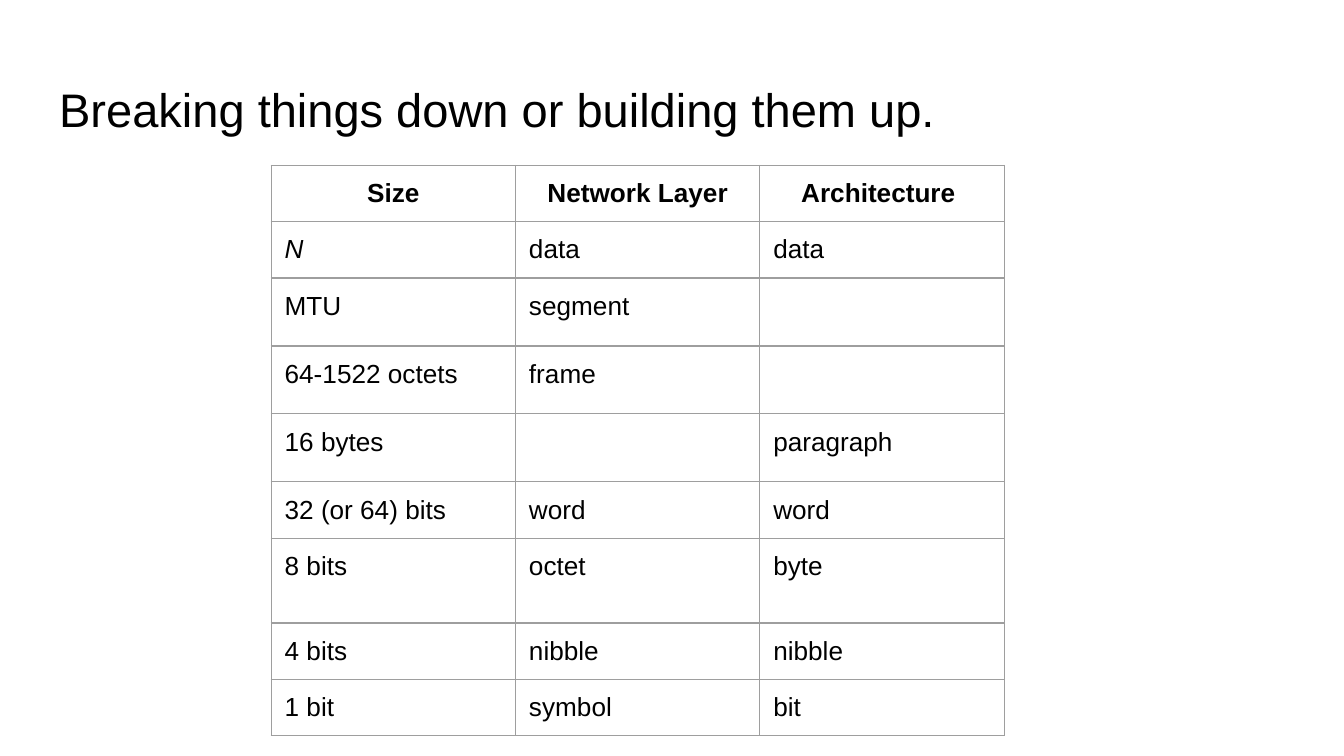
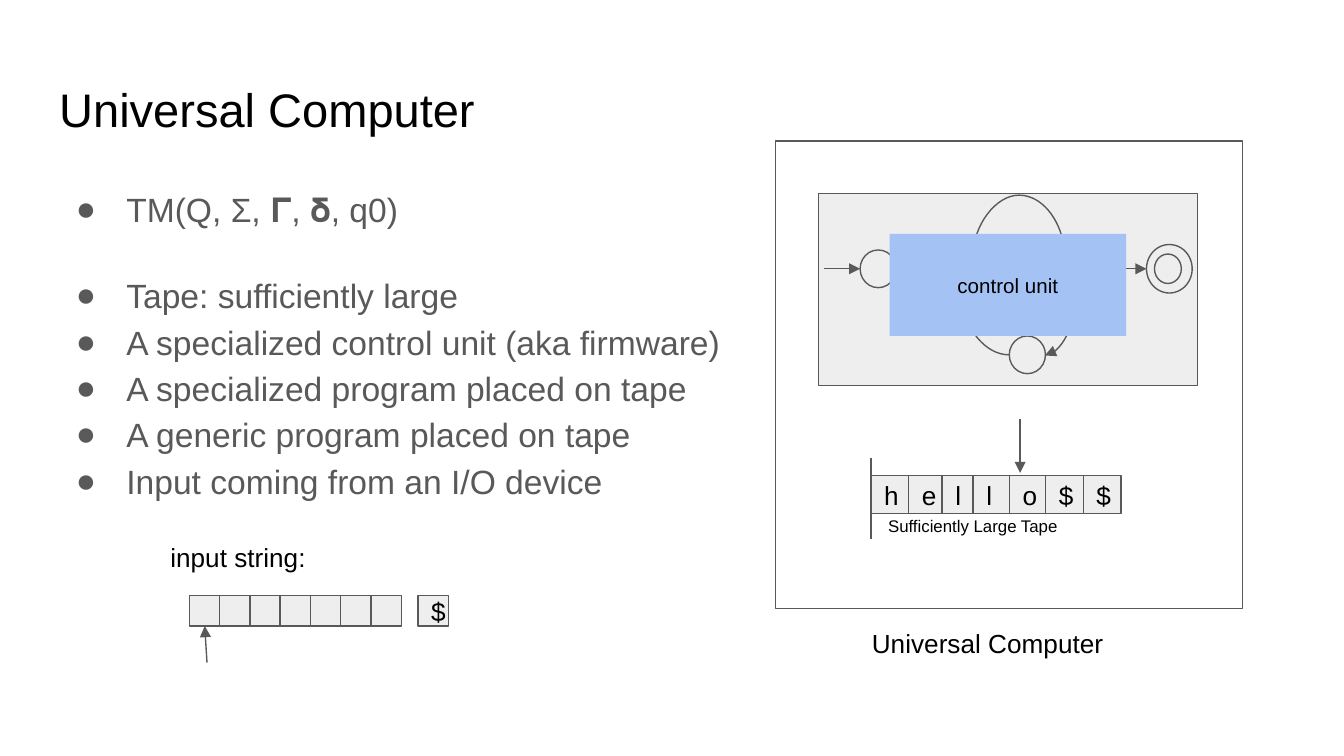
from dataclasses import dataclass

from lxml import etree
from pptx import Presentation
from pptx.dml.color import RGBColor
from pptx.enum.shapes import MSO_CONNECTOR, MSO_SHAPE
from pptx.enum.text import MSO_ANCHOR, MSO_AUTO_SIZE, PP_ALIGN
from pptx.oxml.ns import qn
from pptx.util import Pt

RECT, OVAL = MSO_SHAPE.RECTANGLE, MSO_SHAPE.OVAL
STRAIGHT, CURVE = MSO_CONNECTOR.STRAIGHT, MSO_CONNECTOR.CURVE
TOP, MIDDLE, BOTTOM = MSO_ANCHOR.TOP, MSO_ANCHOR.MIDDLE, MSO_ANCHOR.BOTTOM
LEFT, CENTER = PP_ALIGN.LEFT, PP_ALIGN.CENTER
TITLE_ONLY, TITLE_BODY = 5, 1
HEAD, TAIL = "a:headEnd", "a:tailEnd"


@dataclass(frozen=True)
class Theme:
    font: str = "Arial"
    ink: str = "000000"
    gray: str = "595959"
    pale: str = "EEEEEE"
    white: str = "FFFFFF"
    blue: str = "A4C2F4"
    grid: str = "9E9E9E"
    title: float = 25.2
    body: float = 18
    text: float = 14
    label: float = 11
    note: float = 9
    thin: float = 0.75
    inset: float = 7.2


THEME = Theme()


def tint(code):
    return RGBColor.from_string(code)


def node(parent, tag, **attrs):
    return etree.SubElement(parent, qn(tag), **attrs)


def write(frame, text, size=THEME.text, color=THEME.ink, align=LEFT,
          anchor=TOP, bold=False, italic=False):
    """Fill a text frame, one paragraph a line, and format it."""
    lines = [text] if isinstance(text, str) else text
    frame.word_wrap = True
    frame.vertical_anchor = anchor
    frame.margin_left = frame.margin_right = Pt(THEME.inset)
    frame.margin_top = frame.margin_bottom = Pt(THEME.inset)
    for i, line in enumerate(lines):
        para = frame.add_paragraph() if i else frame.paragraphs[0]
        para.alignment = align
        para.space_before = para.space_after = Pt(0)
        run = para.add_run()
        run.text = line
        font = run.font
        font.name, font.size = THEME.font, Pt(size)
        font.bold, font.italic = bold, italic
        font.color.rgb = tint(color)
    return frame.paragraphs


class Deck:
    def __init__(self, theme):
        self.theme = theme
        self.show = Presentation()
        self.show.slide_width, self.show.slide_height = Pt(720), Pt(405)
        self.slide = None

    def place(self, item, x, y, w, h):
        item.left, item.top, item.width, item.height = map(Pt, (x, y, w, h))
        item.text_frame.auto_size = MSO_AUTO_SIZE.NONE

    def start(self, title, layout):
        self.slide = self.show.slides.add_slide(self.show.slide_layouts[layout])
        head = self.slide.shapes.title
        self.place(head, 24.5, 35.3, 671, 45.4)
        write(head.text_frame, title, size=self.theme.title, anchor=BOTTOM)

    def bullets(self, lines, gap):
        """Fill the body; gap follows the first item."""
        body = self.slide.placeholders[1]
        self.place(body, 24.5, 90.7, 671, 269.3)
        paras = write(body.text_frame, lines, size=self.theme.body,
                      color=self.theme.gray)
        for para in paras:
            para.line_spacing = 1.15
            props = para._p.get_or_add_pPr()
            props.set("marL", str(Pt(36)))
            props.set("indent", str(-Pt(27)))
            node(node(props, "a:buClr"), "a:srgbClr", val=self.theme.gray)
            node(props, "a:buFont", typeface=self.theme.font)
            node(props, "a:buChar", char="●")
        paras[0].space_after = Pt(gap)

    def shape(self, x, y, w, h, kind=RECT, fill=THEME.pale, edge=True,
              turn=0, text=None, **style):
        item = self.slide.shapes.add_shape(kind, *map(Pt, (x, y, w, h)))
        item.shadow.inherit = False
        item.rotation = turn
        item.fill.solid()
        item.fill.fore_color.rgb = tint(fill)
        if edge:
            item.line.color.rgb = tint(self.theme.gray)
            item.line.width = Pt(self.theme.thin)
        else:
            item.line.fill.background()
        if text:
            write(item.text_frame, text, anchor=MIDDLE, **style)
        return item

    def label(self, text, x, y, w, h, **style):
        box = self.slide.shapes.add_textbox(*map(Pt, (x, y, w, h)))
        write(box.text_frame, text, **style)

    def line(self, x1, y1, x2, y2, arrow=None, kind=STRAIGHT):
        item = self.slide.shapes.add_connector(kind, *map(Pt, (x1, y1, x2, y2)))
        item.line.color.rgb = tint(self.theme.gray)
        item.line.width = Pt(self.theme.thin)
        props = item._element.spPr
        if arrow:
            node(props.find(qn("a:ln")), arrow, type="triangle")
        node(props, "a:effectLst")
        return item

    def curve(self, x, y, w, h, turn, preset, flip=False, bend=None):
        """Curved arrow in a box that is then turned by some degrees."""
        item = self.line(x, y, x + w, y + h, arrow=TAIL, kind=CURVE)
        props = item._element.spPr
        frame = props.find(qn("a:xfrm"))
        frame.set("rot", str(turn * 60000))
        if flip:
            frame.set("flipH", "1")
        shape = props.find(qn("a:prstGeom"))
        shape.set("prst", preset)
        if bend:
            node(shape.find(qn("a:avLst")), "a:gd", name="adj1",
                 fmla=f"val {bend}")

    def border(self, cell):
        props = cell._tc.get_or_add_tcPr()
        for i, side in enumerate(("a:lnL", "a:lnR", "a:lnT", "a:lnB")):
            edge = node(props, side, w=str(Pt(self.theme.thin)))
            node(node(edge, "a:solidFill"), "a:srgbClr", val=self.theme.grid)
            props.insert(i, edge)

    def table(self, rows, x, y, wide, highs):
        count = len(rows[0])
        grid = self.slide.shapes.add_table(
            len(rows), count, Pt(x), Pt(y), Pt(wide * count),
            Pt(sum(highs))).table
        grid.first_row = grid.horz_banding = False
        for col in grid.columns:
            col.width = Pt(wide)
        for r, (row, high) in enumerate(zip(rows, highs)):
            grid.rows[r].height = Pt(high)
            for c, text in enumerate(row):
                cell = grid.cell(r, c)
                cell.fill.background()
                cell.margin_left = cell.margin_right = Pt(self.theme.inset)
                cell.margin_top = cell.margin_bottom = Pt(self.theme.inset)
                self.border(cell)
                if text:
                    self.fill(cell, text, r == 0)

    def fill(self, cell, text, head):
        para = cell.text_frame.paragraphs[0]
        para.alignment = CENTER if head else LEFT
        run = para.add_run()
        run.text = text
        font = run.font
        font.name, font.size = self.theme.font, Pt(self.theme.text)
        font.bold, font.italic = head, text == "N"
        font.color.rgb = tint(self.theme.ink)


UNITS = [
    ("Size", "Network Layer", "Architecture "),
    ("N", "data", "data"),
    ("MTU", "segment", ""),
    ("64-1522 octets", "frame", ""),
    ("16 bytes", "", "paragraph"),
    ("32 (or 64) bits", "word", "word"),
    ("8 bits", "octet", "byte"),
    ("4 bits", "nibble", "nibble"),
    ("1 bit", "symbol", "bit"),
]

POINTS = [
    "TM(Q, Σ, 𝚪, 𝛅, q0)",
    "Tape: sufficiently large",
    "A specialized control unit (aka firmware)",
    "A specialized program placed on tape",
    "A generic program placed on tape",
    "Input coming from an I/O device",
]


def sizes(deck):
    deck.start("Breaking things down or building them up.", TITLE_ONLY)
    highs = [45.5 if row[0] == "8 bits" else 30.1 if all(row) else 34.6
             for row in UNITS]
    deck.table(UNITS, 145.3, 88.6, 130.9, highs)


def states(deck):
    """State diagram, mostly hidden by the control unit."""
    deck.shape(438.5, 103.7, 203, 103)
    for spot in ((614.2, 131, 24.5, 26), (618.5, 136.1, 14.4, 15.8),
                 (460.8, 133.9, 19.4, 20.2), (540.7, 180, 19.4, 20.2)):
        deck.shape(*spot, kind=OVAL)
    deck.line(441.4, 144, 460.8, 144, arrow=TAIL)
    deck.curve(545.8, 112.3, 0.04, 49, 270, "curvedConnector3",
               flip=True, bend=-56813100)
    deck.curve(550.1, 164.2, 36, 16.6, 90, "curvedConnector2")
    deck.curve(514.1, 154.1, 26.6, 36, 180, "curvedConnector2")
    deck.line(586.1, 144, 614.2, 144, arrow=TAIL)


def tape(deck):
    top, side = 254.9, 20.2
    for i in range(5):
        deck.shape(468.7 + 18 * i, top, side, side, turn=90)
    lefts = (466.6, 486.7, 504.7, 521.3, 540.7, 560.2, 580.3)
    for x, sign in zip(lefts, "hello$$"):
        deck.shape(x, top, side, side, text=sign)
    deck.label("Sufficiently Large Tape", 468.7, 270.7, 184.3, 25.2,
               size=deck.theme.note)
    deck.line(466.6, 288.7, 466.6, 245.5)
    deck.line(546.5, 253.4, 546.5, 224.6, arrow=HEAD)


def feed(deck):
    """Input string with its read mark."""
    deck.label("input string:", 84.2, 283, 175.7, 31.7)
    top, side = 319, 16.4
    cells = [deck.shape(101.5 + 16.2 * i, top, side, side) for i in range(7)]
    deck.shape(223.9, top, side, side, text="$")
    mark = deck.line(109.7, top + side, 110.9, 355, arrow=HEAD)
    mark.begin_connect(cells[0], 2)


def machine(deck):
    deck.start("Universal Computer", TITLE_BODY)
    deck.bullets(POINTS, gap=21.4)
    deck.shape(415.5, 75.6, 250, 250.5, fill=deck.theme.white)
    states(deck)
    tape(deck)
    deck.label("Universal Computer", 460, 329, 177, 31.7)
    feed(deck)
    deck.shape(476.6, 125.3, 126.7, 54.7, fill=deck.theme.blue, edge=False,
               text="control unit", size=deck.theme.label, align=CENTER)


def main():
    deck = Deck(THEME)
    sizes(deck)
    machine(deck)
    deck.show.save("out.pptx")


if __name__ == "__main__":
    main()
